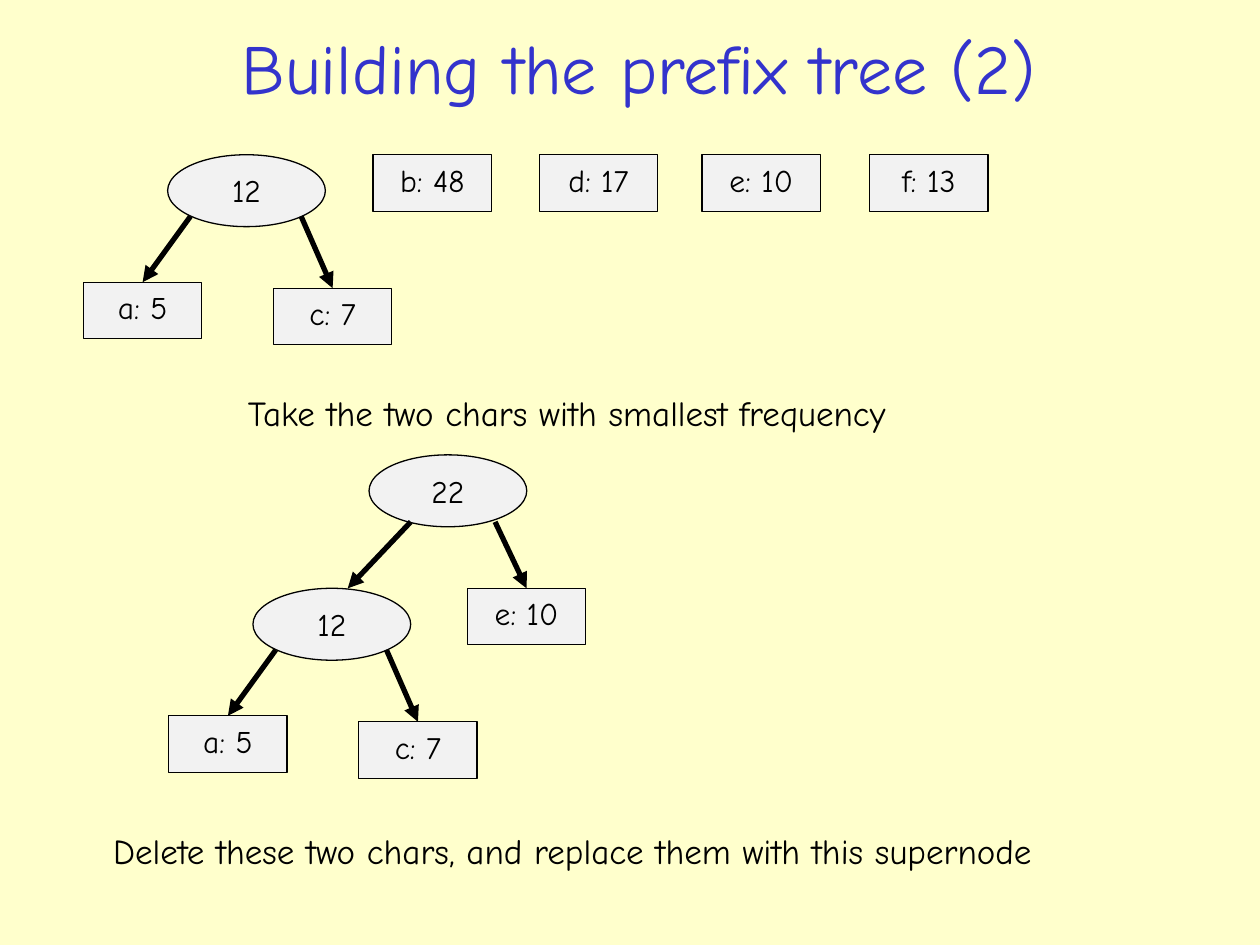
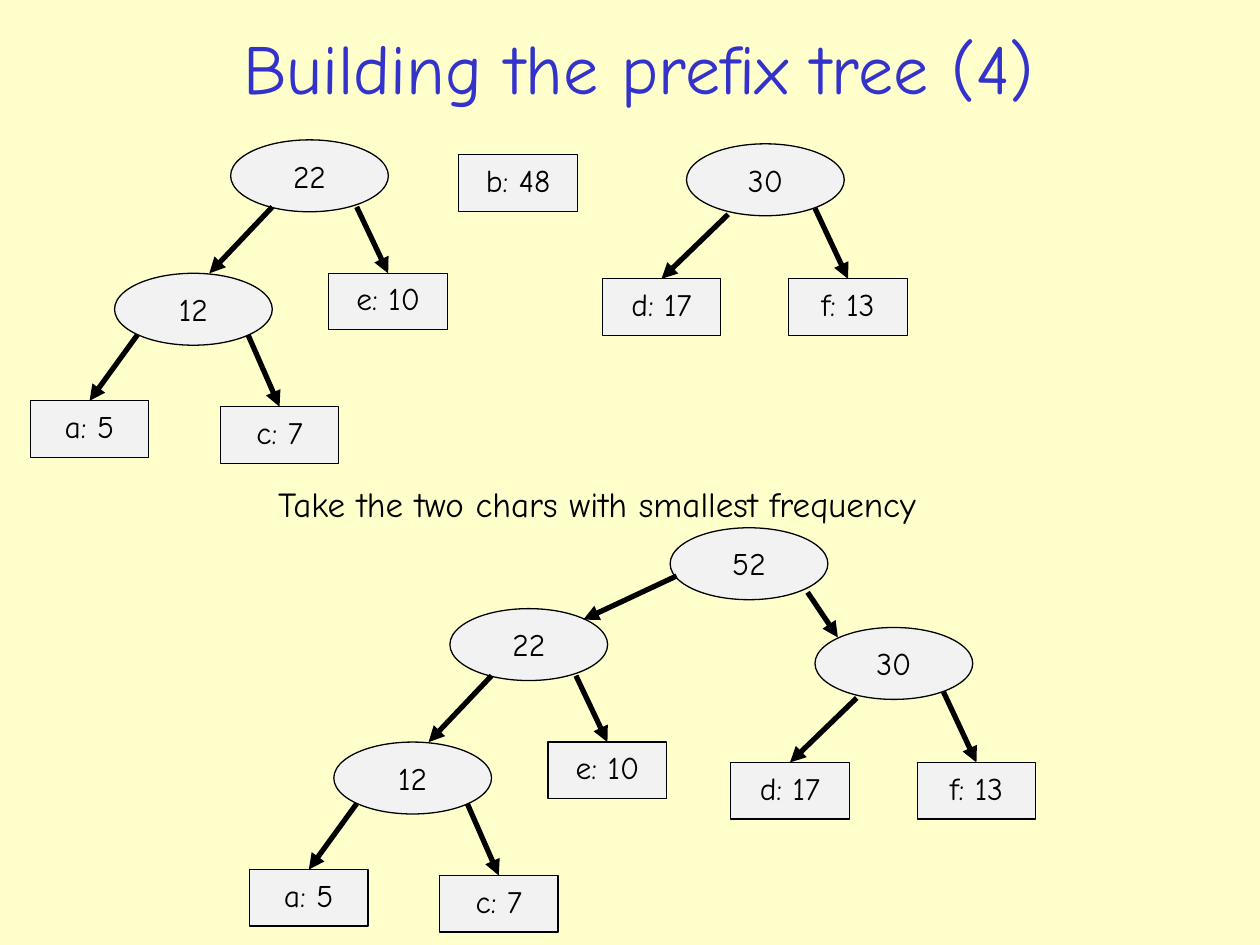
"""Build two slides that show the construction of a prefix tree."""
from dataclasses import dataclass

from lxml import etree
from pptx import Presentation
from pptx.dml.color import RGBColor
from pptx.enum.shapes import MSO_CONNECTOR, MSO_SHAPE
from pptx.enum.text import MSO_ANCHOR, PP_ALIGN
from pptx.oxml.ns import qn
from pptx.util import Cm, Pt

RECT, OVAL = MSO_SHAPE.RECTANGLE, MSO_SHAPE.OVAL
STRAIGHT = MSO_CONNECTOR.STRAIGHT
TOP, MIDDLE = MSO_ANCHOR.TOP, MSO_ANCHOR.MIDDLE
LEFT, CENTER = PP_ALIGN.LEFT, PP_ALIGN.CENTER
TOP_SIDE = 0


@dataclass(frozen=True)
class Theme:
    font: str = "Comic Neue"
    background: RGBColor = RGBColor(0xFF, 0xFF, 0xCC)
    title: RGBColor = RGBColor(0x33, 0x33, 0xCC)
    node: RGBColor = RGBColor(0xF2, 0xF2, 0xF2)
    ink: RGBColor = RGBColor(0, 0, 0)
    title_size: Pt = Pt(40)
    caption_size: Pt = Pt(20)
    node_size: Pt = Pt(18)
    outline: Pt = Pt(0.75)
    arrow: Pt = Pt(3)


@dataclass(frozen=True)
class Branch:
    child: str
    offset: tuple
    start: tuple
    end: tuple = (0, 0)


LEAF_SIZE = (2.39, 1.14)
SUPERNODE_SIZE = (3.18, 1.45)
BRANCHES = {
    "12": (Branch("a: 5", (-1.7, 2.57), (0.46, 1.24)),
           Branch("c: 7", (2.13, 2.69), (2.69, 1.24))),
    "22": (Branch("12", (-2.34, 2.69), (0.84, 1.35), (-0.43, 2.69)),
           Branch("e: 10", (1.98, 2.69), (2.54, 1.35))),
    "30": (Branch("d: 17", (-1.7, 2.72), (0.84, 1.42)),
           Branch("f: 13", (2.06, 2.72), (2.59, 1.3))),
    "52": (Branch("22", (-4.44, 1.63), (0.13, 0.97), (-1.75, 1.85)),
           Branch("30", (2.92, 2.01), (2.77, 1.3), (3.38, 2.21))),
}
TAKE = "Take the two chars with smallest frequency"
REPLACE = "Delete these two chars, and replace them with this supernode"


class Deck:
    def __init__(self, theme):
        self.theme = theme
        self.prs = Presentation()
        self.prs.slide_width, self.prs.slide_height = Cm(25.4), Cm(19.05)
        fill = self.prs.slide_master.background.fill
        fill.solid()
        fill.fore_color.rgb = theme.background
        self.s = None

    def slide(self, title):
        self.s = self.prs.slides.add_slide(self.prs.slide_layouts[6])
        tb = self.s.shapes.add_textbox(Cm(0.76), Cm(0.38), Cm(24.23), Cm(1.93))
        tb.text_frame.word_wrap = True
        self.set_text(tb, title, self.theme.title_size, self.theme.title, CENTER, MIDDLE)

    def set_text(self, sp, text, size, color, align, anchor=TOP):
        tf = sp.text_frame
        tf.vertical_anchor = anchor
        p = tf.paragraphs[0]
        p.text, p.alignment = text, align
        p.font.name, p.font.size = self.theme.font, size
        p.font.color.rgb = color

    def caption(self, text, x, y, width):
        tb = self.s.shapes.add_textbox(Cm(x), Cm(y), Cm(width), Cm(1.12))
        tb.text_frame.word_wrap = False
        self.set_text(tb, text, self.theme.caption_size, self.theme.ink, LEFT)

    def node(self, label, x, y):
        kind, size = (OVAL, SUPERNODE_SIZE) if label in BRANCHES else (RECT, LEAF_SIZE)
        sp = self.s.shapes.add_shape(kind, Cm(x), Cm(y), *map(Cm, size))
        sp.shadow.inherit = False
        sp.fill.solid()
        sp.fill.fore_color.rgb = self.theme.node
        sp.line.color.rgb = self.theme.ink
        sp.line.width = self.theme.outline
        self.set_text(sp, label, self.theme.node_size, self.theme.ink, CENTER)
        return sp

    def arrow(self, start, end, leaf=None):
        cxn = self.s.shapes.add_connector(STRAIGHT, *map(Cm, start + end))
        if leaf is not None:
            cxn.end_connect(leaf, TOP_SIDE)
        cxn.line.color.rgb = self.theme.ink
        cxn.line.width = self.theme.arrow
        etree.SubElement(cxn.get_or_add_ln(), qn("a:tailEnd"), type="triangle")
        etree.SubElement(cxn._element.spPr, qn("a:effectLst"))

    def tree(self, label, x, y):
        def place(point):
            return x + point[0], y + point[1]

        branches = BRANCHES.get(label, ())
        children = [self.tree(b.child, *place(b.offset)) for b in branches]
        root = self.node(label, x, y)
        for b, child in zip(branches, children):
            leaf = None if b.child in BRANCHES else child
            self.arrow(place(b.start), place(b.end), leaf)
        return root


def main():
    deck = Deck(Theme())

    deck.slide("Building the prefix tree (2)")
    for label, x in (("b: 48", 7.52), ("d: 17", 10.87), ("e: 10", 14.15), ("f: 13", 17.53)):
        deck.node(label, x, 3.12)
    deck.tree("12", 3.38, 3.12)
    deck.caption(TAKE, 4.75, 7.77, 13.46)
    deck.tree("22", 7.44, 9.17)
    deck.caption(REPLACE, 2.03, 16.59, 19.08)

    deck.slide("Building the prefix tree (4)")
    deck.node("b: 48", 9.25, 3.12)
    deck.caption(TAKE, 5.36, 9.6, 13.46)
    deck.tree("22", 4.65, 2.82)
    deck.tree("30", 13.84, 2.9)
    deck.tree("52", 13.51, 10.64)

    deck.prs.save("out.pptx")


if __name__ == "__main__":
    main()
